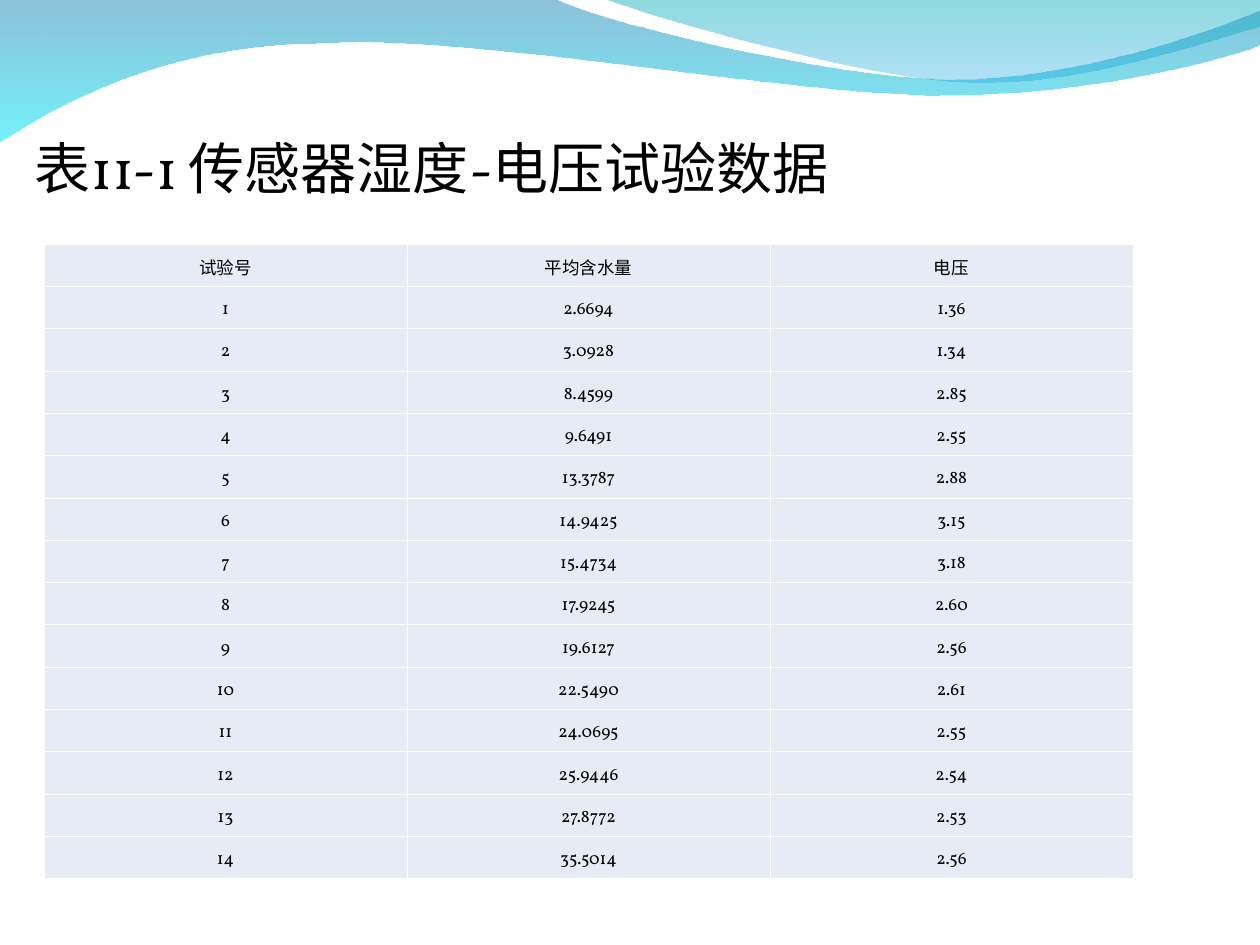
"""Build a slide with a wave banner, a title and a sensor data table."""
from dataclasses import dataclass

from lxml import etree
from pptx import Presentation
from pptx.dml.color import RGBColor
from pptx.enum import text
from pptx.oxml import ns
from pptx.util import Pt

SCALE = 914400 / 126


@dataclass(frozen=True)
class Theme:
    """Hold the colours, fonts and type sizes."""
    ink: str = "000000"
    cell: str = "E7EBF5"
    rule: str = "FFFFFF"
    back: tuple = (("0079AF", 45), ("00EBF8", 55))
    front: tuple = (("00ADB6", 45), ("009BE5", 30))
    latin: str = "Vollkorn"
    han: str = "Noto Sans CJK SC"
    title: int = 32
    body: int = 10
    line: float = 0.45


THEME = Theme()

BACK = [
    [(1, 0)],
    [(556, 0)],
    [(601, 23), (838, 80), (956, 80)],
    [(1076, 80), (1208, 34), (1261, 12)],
    [(1262, 46)],
    [(1240, 56), (1097, 97), (941, 96)],
    [(785, 96), (482, 36), (325, 44)],
    [(164, 45), (59, 106), (0, 143)],
    [(1, 0)],
]
FRONT = [
    [(0, 0)],
    [(38, 15), (256, 79), (365, 83)],
    [(475, 88), (607, 41), (656, 28)],
    [(656, 1)],
    [(0, 0)],
]

HEAD = ("试验号", "平均含水量", "电压")
WATER = ("2.6694", "3.0928", "8.4599", "9.6491", "13.3787", "14.9425", "15.4734",
         "17.9245", "19.6127", "22.5490", "24.0695", "25.9446", "27.8772", "35.5014")
VOLTS = ("1.36", "1.34", "2.85", "2.55", "2.88", "3.15", "3.18",
         "2.60", "2.56", "2.61", "2.55", "2.54", "2.53", "2.56")


def px(size):
    """Turn px into EMU."""
    return round(size * SCALE)


def add_run(para, words, size, face):
    """Add one styled run to a paragraph."""
    run = para.add_run()
    run.text = words
    font = run.font
    font.size = Pt(size)
    font.name = face
    font.bold = False
    font.color.rgb = RGBColor.from_string(THEME.ink)
    east = etree.SubElement(run._r.get_or_add_rPr(), ns.qn("a:ea"))
    east.set("typeface", THEME.han)


def bend(wave, parts):
    """Join each three line points of a curved part into one cubic curve."""
    lines = iter(list(wave._element.spPr.iter(ns.qn("a:lnTo"))))
    for part in parts:
        first, *rest = [next(lines) for _ in part]
        if rest:
            first.tag = ns.qn("a:cubicBezTo")
            for line in rest:
                first.append(line[0])
                line.getparent().remove(line)


def add_wave(slide, left, top, parts, tints):
    """Draw a translucent wave with a downward gradient."""
    start, *spots = [spot for part in parts for spot in part]
    maker = slide.shapes.build_freeform(*start, scale=SCALE)
    maker.add_line_segments(spots, close=True)
    wave = maker.convert_to_shape(px(left), px(top))
    bend(wave, parts[1:])
    wave.shadow.inherit = False
    wave.line.fill.background()
    wave.fill.gradient()
    wave.fill.gradient_angle = 270
    for stop, (tint, _) in zip(wave.fill.gradient_stops, tints):
        stop.color.rgb = RGBColor.from_string(tint)
    marks = wave._element.spPr.iter(ns.qn("a:srgbClr"))
    for mark, (_, share) in zip(list(marks), tints):
        etree.SubElement(mark, ns.qn("a:alpha")).set("val", str(share * 1000))


def add_title(slide, left, top, width, height):
    """Fill the title placeholder and set it in its box."""
    title = slide.shapes.title
    title.left, title.top, title.width, title.height = map(
        px, (left, top, width, height))
    frame = title.text_frame
    frame.word_wrap = True
    frame.auto_size = text.MSO_AUTO_SIZE.NONE
    frame.vertical_anchor = text.MSO_ANCHOR.BOTTOM
    frame.margin_bottom = px(7)
    para = frame.paragraphs[0]
    para.alignment = text.PP_ALIGN.LEFT
    add_run(para, "表11-1 传感器湿度-电压试验数据", THEME.title, THEME.latin)


def style_cell(cell):
    """Give a cell its borders, fill and margins."""
    props = cell._tc.get_or_add_tcPr()
    for side in ("lnL", "lnR", "lnT", "lnB"):
        edge = etree.SubElement(props, ns.qn(f"a:{side}"), w=str(Pt(THEME.line)))
        fill = etree.SubElement(edge, ns.qn("a:solidFill"))
        etree.SubElement(fill, ns.qn("a:srgbClr"), val=THEME.rule)
    cell.fill.solid()
    cell.fill.fore_color.rgb = RGBColor.from_string(THEME.cell)
    cell.margin_left = cell.margin_right = px(10)
    cell.vertical_anchor = text.MSO_ANCHOR.BOTTOM


def add_data(slide, left, top, width, height):
    """Place the table of trials in its box."""
    rows = [HEAD] + [(str(num), *pair)
                     for num, pair in enumerate(zip(WATER, VOLTS), 1)]
    box = map(px, (left, top, width, height))
    table = slide.shapes.add_table(len(rows), len(HEAD), *box).table
    table.first_row = table.horz_banding = False
    for r, row in enumerate(rows):
        for c, words in enumerate(row):
            cell = table.cell(r, c)
            style_cell(cell)
            para = cell.text_frame.paragraphs[0]
            para.alignment = text.PP_ALIGN.CENTER
            para.line_spacing = 1.15
            add_run(para, words, THEME.body, THEME.latin if r else THEME.han)


def main():
    """Build and save the slide."""
    deck = Presentation()
    deck.slide_width, deck.slide_height = px(1260), px(945)
    slide = deck.slides.add_slide(deck.slide_layouts[5])
    add_wave(slide, -1, -1, BACK, THEME.back)
    add_wave(slide, 604, -1, FRONT, THEME.front)
    add_title(slide, 22, 60, 1111, 148)
    add_data(slide, 44, 244, 1089, 635)
    deck.save("out.pptx")


if __name__ == "__main__":
    main()
